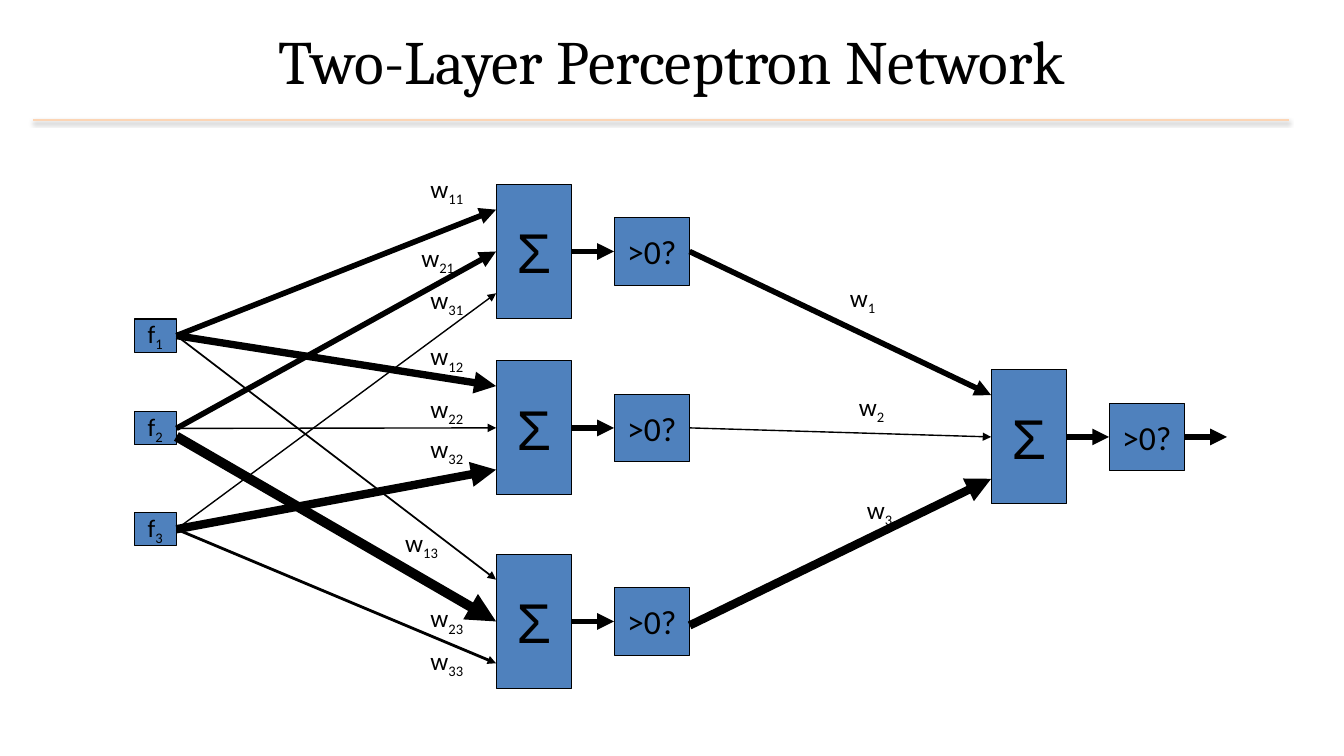
import pptx
import pptx.util
import pptx.dml.color
import pptx.enum.shapes
import pptx.enum.text
import pptx.oxml

Inches = pptx.util.Inches
DRAWING = "http://schemas.openxmlformats.org/drawingml/2006/main"
BLACK, BLUE, PEACH = "000000", "4F81BD", "FCD5B5"
LEFT_SIDE, RIGHT_SIDE = 1, 3

SUM_WIDTH, SUM_HEIGHT = 0.75, 1.33
THRESHOLD_HEIGHT = 0.67
INPUT_WIDTH, INPUT_HEIGHT = 0.42, 0.33
ARROW_LENGTH = 0.42
ENTRY_OFFSETS = (0.25, SUM_HEIGHT / 2, 1.08)


def color(hex_value):
    return pptx.dml.color.RGBColor.from_string(hex_value)


def add_text(paragraph, text, size, font="Calibri", subscript=""):
    for part in filter(None, (text, subscript)):
        run = paragraph.add_run()
        run.text = part
        run.font.size = pptx.util.Pt(size)
        run.font.name = font
        run.font.color.rgb = color(BLACK)
        if part is subscript:
            run.font._element.set("baseline", "-25000")


def add_box(slide, left, top, width, height, text, size, font="Calibri", subscript=""):
    shape = slide.shapes.add_shape(
        pptx.enum.shapes.MSO_SHAPE.RECTANGLE,
        Inches(left), Inches(top), Inches(width), Inches(height))
    shape.shadow.inherit = False
    shape.fill.solid()
    shape.fill.fore_color.rgb = color(BLUE)
    shape.line.color.rgb = color(BLACK)
    shape.line.width = pptx.util.Pt(0.75)
    frame = shape.text_frame
    frame.word_wrap = False
    frame.vertical_anchor = pptx.enum.text.MSO_ANCHOR.MIDDLE
    paragraph = frame.paragraphs[0]
    paragraph.alignment = pptx.enum.text.PP_ALIGN.CENTER
    add_text(paragraph, text, size, font, subscript)
    return shape


def add_line(slide, start, end, width, line_color=BLACK, effects=""):
    line = slide.shapes.add_connector(
        pptx.enum.shapes.MSO_CONNECTOR.STRAIGHT, *map(Inches, start + end))
    line.line.color.rgb = color(line_color)
    line.line.width = pptx.util.Pt(width)
    line._element.spPr.append(pptx.oxml.parse_xml(
        f'<a:effectLst xmlns:a="{DRAWING}">{effects}</a:effectLst>'))
    return line


def add_arrow(slide, start, end, width, source=None, target=None):
    arrow = add_line(slide, start, end, width)
    arrow.line._get_or_add_ln().append(pptx.oxml.parse_xml(
        f'<a:tailEnd xmlns:a="{DRAWING}" type="triangle"/>'))
    if source is not None:
        arrow.begin_connect(source, RIGHT_SIDE)
    if target is not None:
        arrow.end_connect(target, LEFT_SIDE)


def add_weight_label(slide, left, top, index):
    label = slide.shapes.add_textbox(
        Inches(left), Inches(top), Inches(0.58), Inches(0.44))
    label.text_frame.word_wrap = True
    add_text(label.text_frame.paragraphs[0], "w", 18, subscript=index)


def add_header(slide, left, top, width, height):
    title = slide.shapes.title
    title.left, title.top, title.width, title.height = map(
        Inches, (left, top, width, height))
    title.text_frame.vertical_anchor = pptx.enum.text.MSO_ANCHOR.MIDDLE
    paragraph = title.text_frame.paragraphs[0]
    paragraph.alignment = pptx.enum.text.PP_ALIGN.CENTER
    add_text(paragraph, "Two-Layer Perceptron Network", 44, "Cambria")
    # Rule with a soft shadow below the title
    rule_top = top + height - 0.03
    add_line(slide, (left + 0.33, rule_top), (left + width - 0.55, rule_top), 1, PEACH,
             '<a:outerShdw blurRad="39370" dist="20320" dir="5400000" rotWithShape="0">'
             '<a:srgbClr val="000000"><a:alpha val="38000"/></a:srgbClr></a:outerShdw>')


def add_neuron(slide, left, top):
    """Add a sum box joined to its threshold box and return both."""
    middle = top + SUM_HEIGHT / 2
    sum_right = left + SUM_WIDTH
    threshold_left = sum_right + ARROW_LENGTH
    total = add_box(slide, left, top, SUM_WIDTH, SUM_HEIGHT, "Σ", 40, "Arial")
    threshold = add_box(slide, threshold_left, middle - THRESHOLD_HEIGHT / 2,
                        SUM_WIDTH, THRESHOLD_HEIGHT, ">0?", 24)
    add_arrow(slide, (sum_right, middle), (threshold_left, middle), 4, total, threshold)
    return total, threshold


def add_network(slide, left, top):
    input_right = left + INPUT_WIDTH
    hidden_left = left + 3.59
    output_left, output_top = left + 8.5, top + 1.84
    threshold_right = hidden_left + 2 * SUM_WIDTH + ARROW_LENGTH
    input_middles = [top + offset for offset in (1.5, 2.42, 3.42)]
    hidden_tops = [top + offset for offset in (0, 1.75, 3.67)]

    # Inputs and neurons
    inputs = [add_box(slide, left, middle - INPUT_HEIGHT / 2, INPUT_WIDTH, INPUT_HEIGHT,
                      "f", 18, subscript=str(number))
              for number, middle in enumerate(input_middles, 1)]
    hidden = [add_neuron(slide, hidden_left, hidden_top) for hidden_top in hidden_tops]
    output_sum, output_threshold = add_neuron(slide, output_left, output_top)

    # First layer: one row per hidden neuron, with line width and label place per input
    first_layer = [
        [(4, 2.84, -0.16), (4, 2.75, 0.52), (1, 2.84, 0.94)],
        [(5.25, 2.84, 1.5), (1, 2.84, 2.02), (6, 2.84, 2.42)],
        [(1.25, 2.59, 3.35), (7, 2.84, 4.1), (2, 2.84, 4.52)],
    ]
    for row, weights in enumerate(first_layer):
        for column, (width, label_left, label_top) in enumerate(weights):
            lowered = (row, column) == (2, 1)
            start = (input_right, input_middles[column] + 0.08 * lowered)
            end = (hidden_left, hidden_tops[row] + ENTRY_OFFSETS[column])
            add_arrow(slide, start, end, width,
                      None if lowered else inputs[column],
                      hidden[row][0] if column == 1 else None)
            add_weight_label(slide, left + label_left, top + label_top,
                             f"{column + 1}{row + 1}")

    # Second layer: line width, label place and start offset per hidden neuron
    second_layer = [(4, 7, 0.92, 0), (1, 7.09, 2, 0), (6, 7.17, 3.02, 0.04)]
    for row, (width, label_left, label_top, drop) in enumerate(second_layer):
        start = (threshold_right, hidden_tops[row] + SUM_HEIGHT / 2 + drop)
        end = (output_left, output_top + ENTRY_OFFSETS[row])
        add_arrow(slide, start, end, width,
                  None if drop else hidden[row][1],
                  output_sum if row == 1 else None)
        add_weight_label(slide, left + label_left, top + label_top, str(row + 1))

    # Network result
    result_left = output_left + 2 * SUM_WIDTH + ARROW_LENGTH
    result_middle = output_top + SUM_HEIGHT / 2
    add_arrow(slide, (result_left, result_middle),
              (result_left + ARROW_LENGTH, result_middle), 4, output_threshold)


def main():
    presentation = pptx.Presentation()
    presentation.slide_width = Inches(13.33)
    presentation.slide_height = Inches(7.5)
    slide = presentation.slides.add_slide(presentation.slide_layouts[5])
    add_header(slide, 0, -0.03, 13.33, 1.25)
    add_network(slide, 1.33, 1.83)
    presentation.save("out.pptx")


if __name__ == "__main__":
    main()
